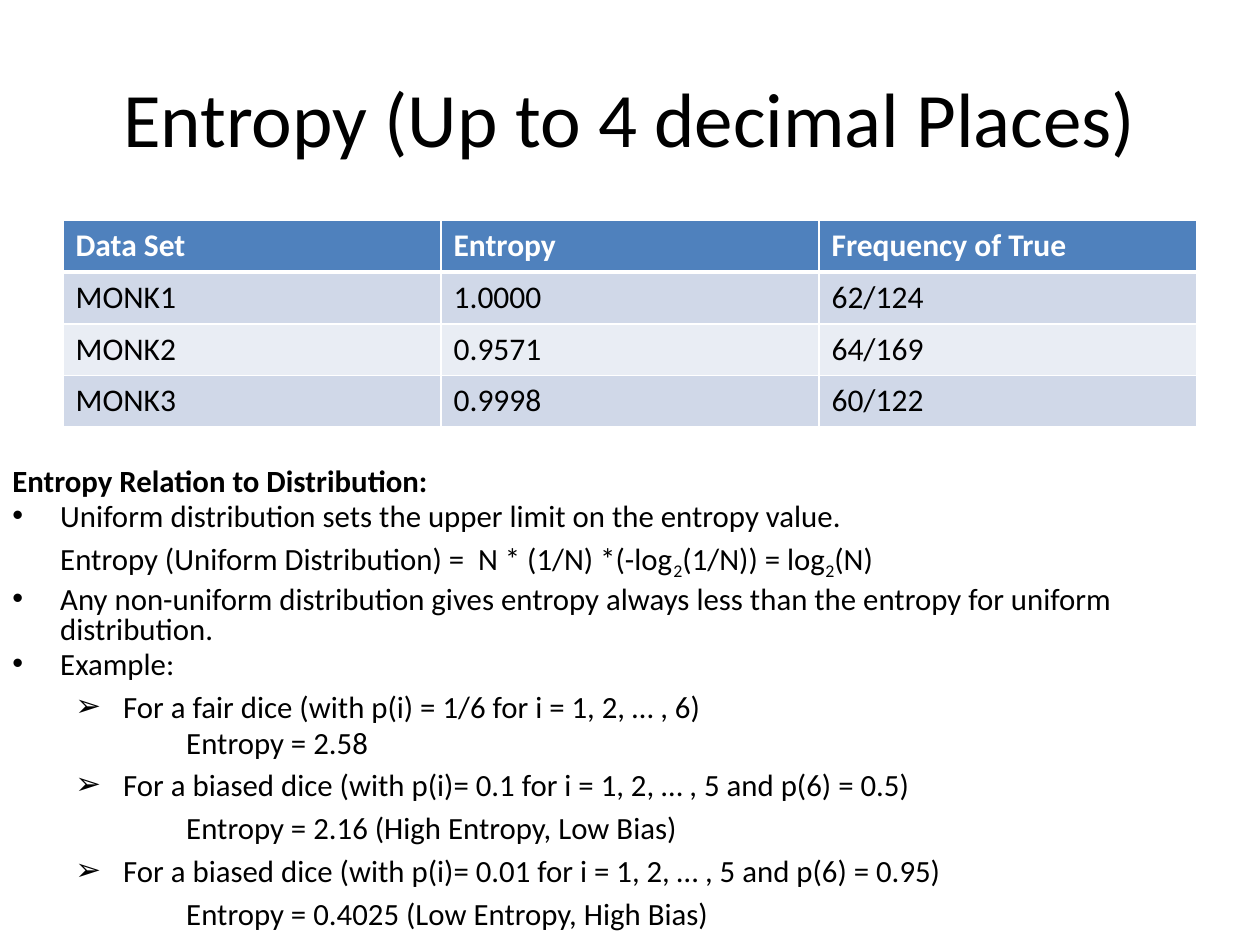
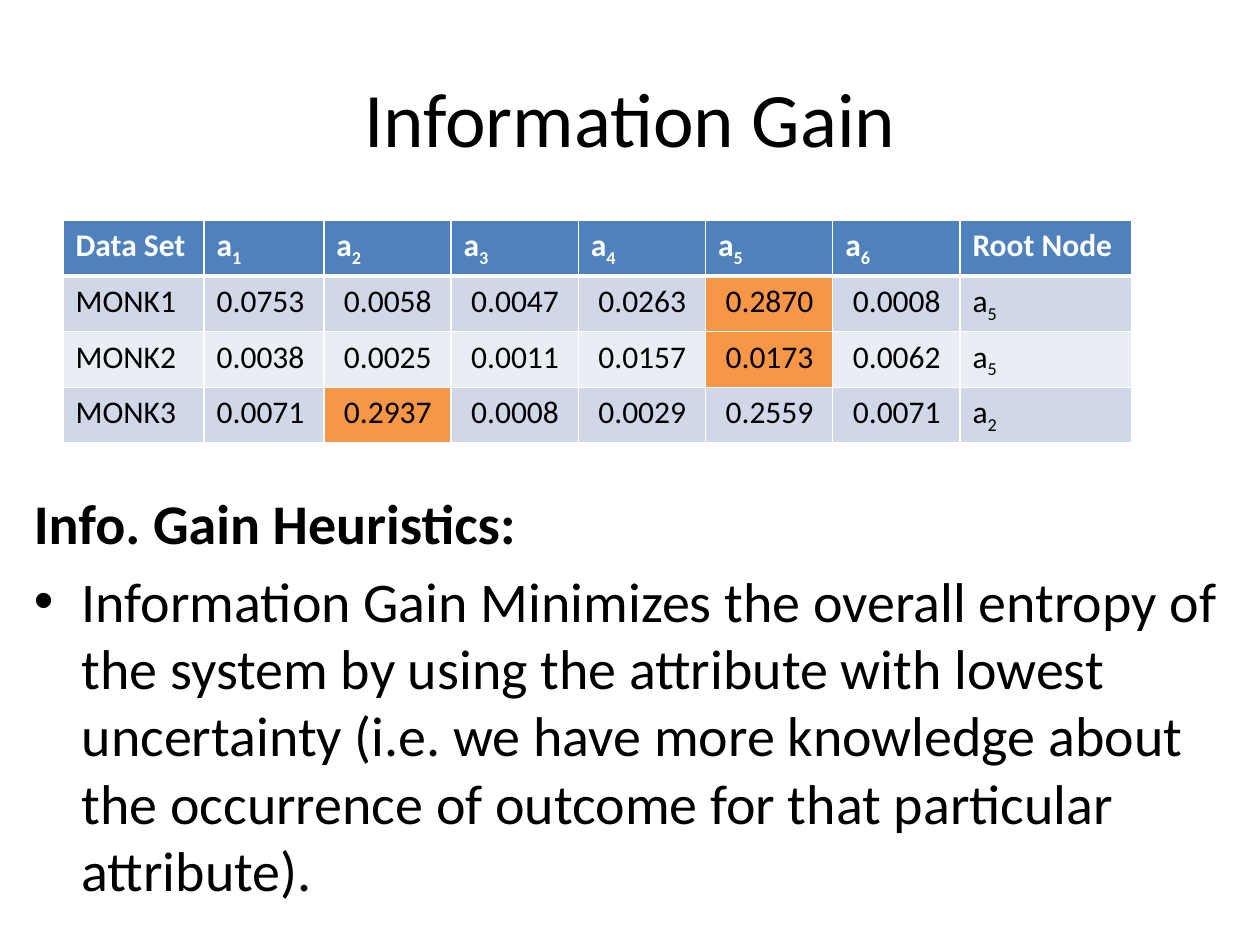
from dataclasses import dataclass, field

from lxml import etree
from pptx import Presentation
from pptx import util as u
from pptx.dml.color import RGBColor
from pptx.enum import text
from pptx.oxml import ns

COLORS = {
    "text": "000000",
    "white": "FFFFFF",
    "header": "4F81BD",
    "band_dark": "D0D8E8",
    "band_light": "E9EDF4",
    "best": "F79646",
}
FONT = "Calibri"
LEFT = 0.5
TABLE_TOP = 1.75
ROW_HEIGHT = 0.41
HANGING = 0.38
SPACE_RATIO = 0.19  # space before a paragraph, as a share of its text size


@dataclass
class Line:
    """A body paragraph; an underscore puts the next character below the line."""
    text: str
    bullet: str = ""
    margin: float = HANGING
    indent: float = 0
    bold: bool = False
    spacing: float = 1


@dataclass
class Grid:
    widths: list[float]
    rows: list[list[str]]
    best: set[tuple[int, int]] = field(default_factory=set)
    shifted: range = range(0)  # body columns set slightly to the right


@dataclass
class Page:
    title: str
    grid: Grid
    body_at: tuple[float, float, float, float]
    body_size: float
    body: list[Line]


def heading(words: str, spacing: float = 1) -> Line:
    return Line(words, indent=-HANGING, bold=True, spacing=spacing)


def point(words: str, spacing: float = 1) -> Line:
    return Line(words, "•", indent=-HANGING, spacing=spacing)


def example(words: str) -> Line:
    return Line(words, "➢", margin=0.88, indent=-HANGING)


def result(words: str, spacing: float = 1) -> Line:
    return Line(words, margin=1.38, spacing=spacing)


PAGES = [
    Page(
        "Entropy (Up to 4 decimal Places)",
        Grid([3] * 3, [
            ["Data Set", "Entropy", "Frequency of True"],
            ["MONK1", "1.0000", "62/124"],
            ["MONK2", "0.9571", "64/169"],
            ["MONK3", "0.9998", "60/122"],
        ]),
        (0, 3.67, 10, 3.83), 17.6,
        [
            heading("Entropy Relation to Distribution:", 0.8),
            point("Uniform distribution sets the upper limit on the entropy value.", 0.8),
            Line("Entropy (Uniform Distribution) =  N * (1/N) *(-log_2(1/N)) = log_2(N)"),
            point("Any non-uniform distribution gives entropy always less than "
                  "the entropy for uniform distribution.", 0.8),
            point("Example:", 0.8),
            example("For a fair dice (with p(i) = 1/6 for i = 1, 2, … , 6)"),
            result("Entropy = 2.58", 0.8),
            example("For a biased dice (with p(i)= 0.1 for i = 1, 2, … , 5 and p(6) = 0.5)"),
            result("Entropy = 2.16 (High Entropy, Low Bias)"),
            example("For a biased dice (with p(i)= 0.01 for i = 1, 2, … , 5 and p(6) = 0.95)"),
            result("Entropy = 0.4025 (Low Entropy, High Bias)"),
        ],
    ),
    Page(
        "Information Gain",
        Grid(
            [1.12, 0.95] + [1.01] * 5 + [1.36],
            [
                ["Data Set"] + [f"a_{i}" for i in range(1, 7)] + ["Root Node"],
                ["MONK1", "0.0753", "0.0058", "0.0047", "0.0263", "0.2870", "0.0008", "a_5"],
                ["MONK2", "0.0038", "0.0025", "0.0011", "0.0157", "0.0173", "0.0062", "a_5"],
                ["MONK3", "0.0071", "0.2937", "0.0008", "0.0029", "0.2559", "0.0071", "a_2"],
            ],
            best={(1, 5), (2, 5), (3, 2)},
            shifted=range(2, 7),
        ),
        (0.17, 3.83, 10, 3.83), 32,
        [
            heading("Info. Gain Heuristics:"),
            point("Information Gain Minimizes the overall entropy of the system by using "
                  "the attribute with lowest uncertainty (i.e. we have more knowledge about "
                  "the occurrence of outcome for that particular attribute)."),
        ],
    ),
]


def rgb(name: str) -> RGBColor:
    return RGBColor.from_string(COLORS[name])


def add_runs(p, words: str, size: float, color: str = "text", bold: bool = False) -> None:
    """Write words into a paragraph, lowering each character after an underscore."""
    first, *rest = words.split("_")
    pieces = [(first, False)]
    for part in rest:
        pieces += [(part[0], True), (part[1:], False)]
    for piece, lowered in pieces:
        if not piece:
            continue
        r = p.add_run()
        r.text = piece
        r.font.name, r.font.size, r.font.bold = FONT, u.Pt(size), bold
        r.font.color.rgb = rgb(color)
        if lowered:
            r.font._element.set("baseline", "-25000")


def add_box(slide, at: tuple[float, float, float, float]):
    tf = slide.shapes.add_textbox(*map(u.Inches, at)).text_frame
    tf.word_wrap = True
    return tf


def add_title(slide, words: str) -> None:
    tf = add_box(slide, (LEFT, 0.3, 9, 1.25))
    tf.vertical_anchor = text.MSO_ANCHOR.MIDDLE
    p = tf.paragraphs[0]
    p.alignment = text.PP_ALIGN.CENTER
    add_runs(p, words, 44)


def add_body(slide, page: Page) -> None:
    tf = add_box(slide, page.body_at)
    for i, line in enumerate(page.body):
        p = tf.add_paragraph() if i else tf.paragraphs[0]
        p.line_spacing = line.spacing
        p.space_before = u.Pt(page.body_size * SPACE_RATIO)
        pPr = p._p.get_or_add_pPr()
        pPr.set("marL", str(u.Inches(line.margin)))
        pPr.set("indent", str(u.Inches(line.indent)))
        if line.bullet:
            etree.SubElement(pPr, ns.qn("a:buFont")).set("typeface", "Arial")
            etree.SubElement(pPr, ns.qn("a:buChar")).set("char", line.bullet)
        add_runs(p, line.text, page.body_size, bold=line.bold)


def set_borders(cell, row: int) -> None:
    """White rules, thicker between the header and the first body row."""
    widths = {"L": 1, "R": 1, "T": 3 if row == 1 else 1, "B": 3 if row == 0 else 1}
    tcPr = cell._tc.get_or_add_tcPr()
    for side, width in widths.items():
        ln = etree.SubElement(tcPr, ns.qn(f"a:ln{side}"), w=str(u.Pt(width)))
        fill = etree.SubElement(ln, ns.qn("a:solidFill"))
        etree.SubElement(fill, ns.qn("a:srgbClr"), val=COLORS["white"])


def cell_color(grid: Grid, row: int, col: int) -> str:
    if row == 0:
        return "header"
    if (row, col) in grid.best:
        return "best"
    return "band_dark" if row % 2 else "band_light"


def add_grid(slide, grid: Grid) -> None:
    n_rows, n_cols = len(grid.rows), len(grid.widths)
    size = (LEFT, TABLE_TOP, sum(grid.widths), n_rows * ROW_HEIGHT)
    table = slide.shapes.add_table(n_rows, n_cols, *map(u.Inches, size)).table
    for col, width in enumerate(grid.widths):
        table.columns[col].width = u.Inches(width)
    for row, values in enumerate(grid.rows):
        table.rows[row].height = u.Inches(ROW_HEIGHT)
        for col, value in enumerate(values):
            cell = table.cell(row, col)
            set_borders(cell, row)
            cell.fill.solid()
            cell.fill.fore_color.rgb = rgb(cell_color(grid, row, col))
            if row and col in grid.shifted:
                cell.margin_left = u.Inches(0.16)
            add_runs(cell.text_frame.paragraphs[0], value, 18,
                     "text" if row else "white", bold=row == 0)


def main() -> None:
    prs = Presentation()
    prs.slide_width, prs.slide_height = u.Inches(10), u.Inches(7.5)
    for page in PAGES:
        slide = prs.slides.add_slide(prs.slide_layouts[6])
        add_title(slide, page.title)
        add_grid(slide, page.grid)
        add_body(slide, page)
    prs.save("out.pptx")


if __name__ == "__main__":
    main()
